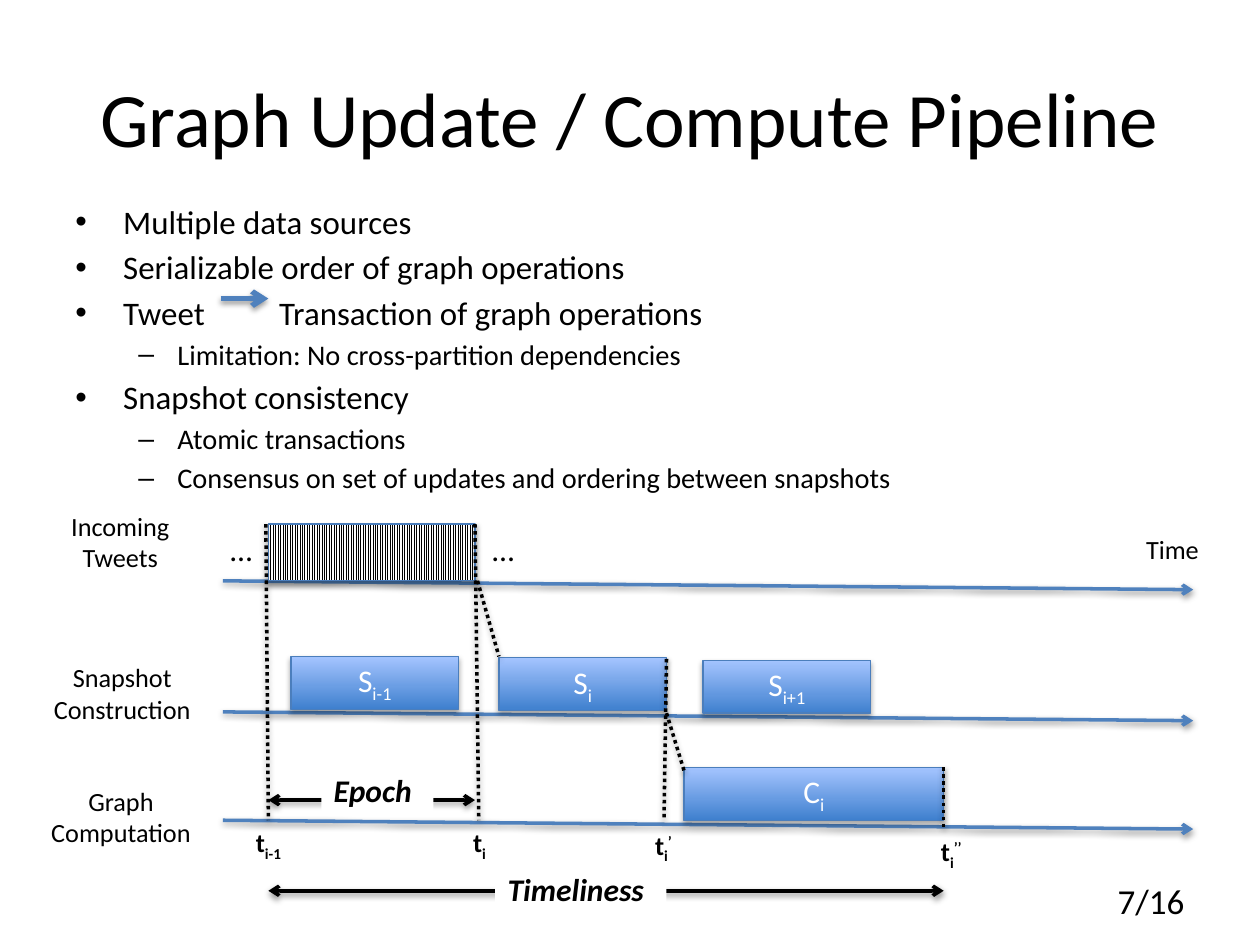
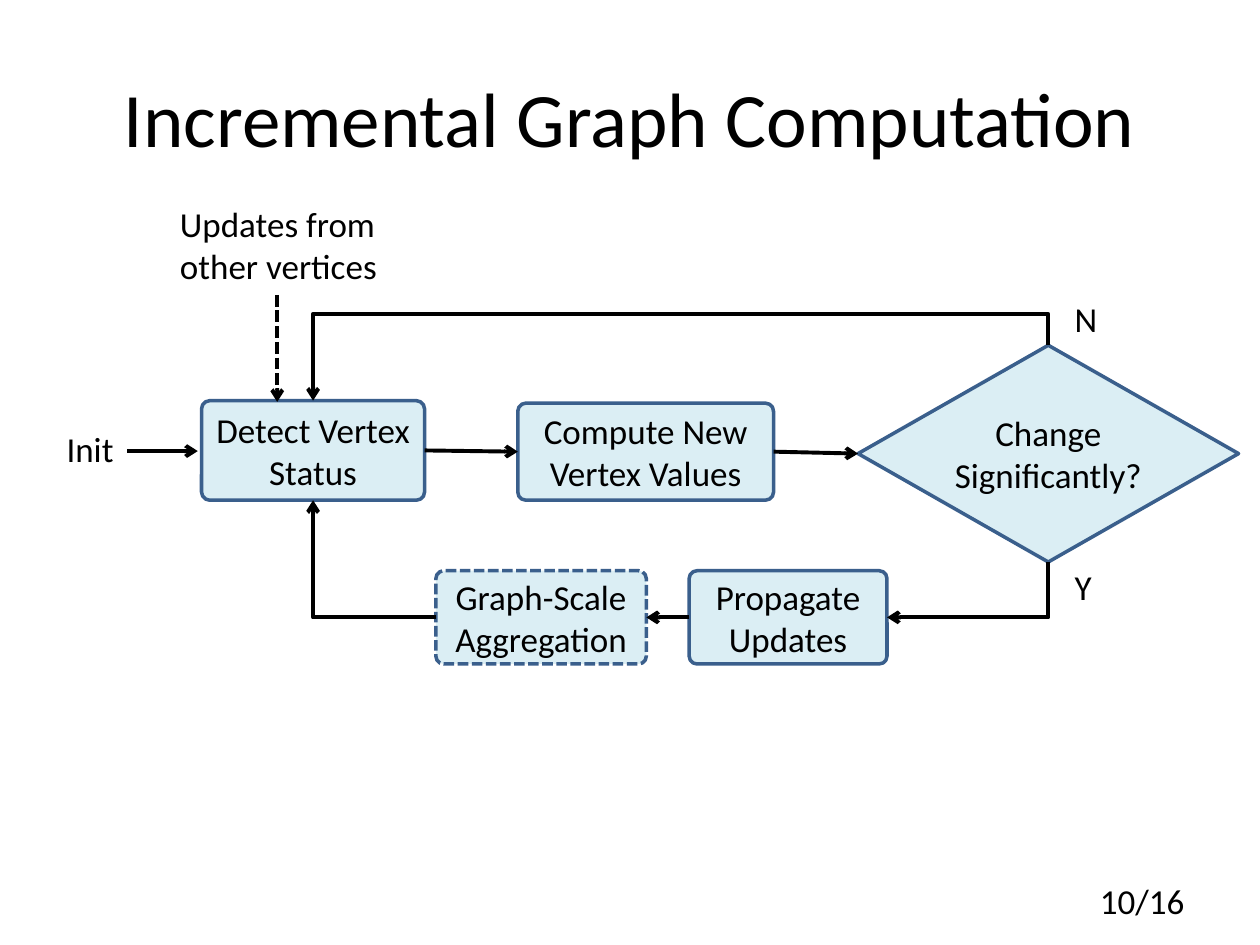
"""Two slides on a graph engine: the update pipeline and the compute loop."""
from lxml import etree
from pptx import Presentation
from pptx import util as u
from pptx.dml import color
from pptx.enum import dml, shapes, text
from pptx.oxml import ns

COLORS = {
    "ink": "000000", "paper": "FFFFFF", "axis": "4F81BD", "edge": "4B7EBC",
    "deep": "3F80CE", "light": "A4C4FF", "step": "DBEEF4", "frame": "3A5F8C",
}
FONT = "Calibri"
PAGE_COUNT = 16
LEFT, CENTER, RIGHT = text.PP_ALIGN.LEFT, text.PP_ALIGN.CENTER, text.PP_ALIGN.RIGHT
DOTS, DASHES = dml.MSO_LINE.ROUND_DOT, dml.MSO_LINE.SQUARE_DOT
TOP, WEST, BOTTOM, EAST = range(4)  # connection sites of a shape


def rgb(name):
    """Return the named colour."""
    return color.RGBColor.from_string(COLORS[name])


def assign(target, values):
    """Set several attributes on one object."""
    for name, value in values.items():
        setattr(target, name, value)


def add_xml(parent, tag, **attributes):
    """Append an XML element and return it."""
    values = {key: str(value) for key, value in attributes.items()}
    return etree.SubElement(parent, ns.qn(tag), values)


class Deck:
    """Holds the style, the presentation and the current slide."""

    def __init__(self):
        """Start an empty 4:3 presentation."""
        self.deck = Presentation()
        assign(self.deck, {"slide_width": u.Inches(10), "slide_height": u.Inches(7.5)})
        self.page = None

    def new_page(self, title, number):
        """Add a slide with its title and page number."""
        self.page = self.deck.slides.add_slide(self.deck.slide_layouts[6])
        self.label((0.5, 0.3, 9, 1.25), title, size=44, wrap=True, middle=True)
        self.label((7.17, 6.95, 2.33, 0.4), f"{number}/{PAGE_COUNT}", size=20,
                   align=RIGHT, wrap=True, middle=True)

    def add_spans(self, para, content, size, ink="ink", **style):
        """Put a string, or (text, baseline) pairs, into a paragraph."""
        pairs = [(content, 0)] if isinstance(content, str) else content
        for words, baseline in pairs:
            for row, line in enumerate(words.split("\n")):
                if row:
                    para.add_line_break()
                span = para.add_run()
                span.text = line
                assign(span.font, {"name": FONT, "size": u.Pt(size), **style})
                span.font.color.rgb = rgb(ink)
                if baseline:
                    span.font._element.set("baseline", str(baseline * 1000))

    def label(self, at, content, size=15, align=CENTER, wrap=False, middle=False,
              fill=None, **style):
        """Add a text box."""
        box = self.page.shapes.add_textbox(*map(u.Inches, at))
        anchor = text.MSO_ANCHOR.MIDDLE if middle else text.MSO_ANCHOR.TOP
        assign(box.text_frame, {"word_wrap": wrap, "vertical_anchor": anchor})
        if fill:
            box.fill.solid()
            box.fill.fore_color.rgb = rgb(fill)
        para = box.text_frame.paragraphs[0]
        para.alignment = align
        self.add_spans(para, content, size, **style)

    def bullets(self, at, items):
        """Add a two-level list from (level, content) items."""
        box = self.page.shapes.add_textbox(*map(u.Inches, at))
        frame = box.text_frame
        frame.word_wrap = True
        for index, (level, content) in enumerate(items):
            size, margin, hang, mark = [(18.8, 0.38, 0.38, "•"),
                                        (16.2, 0.81, 0.31, "–")][level]
            para = frame.add_paragraph() if index else frame.paragraphs[0]
            assign(para, {"level": level, "space_before": u.Pt(round(size * 0.18, 1))})
            props = para._p.get_or_add_pPr()
            props.set("marL", str(u.Inches(margin)))
            props.set("indent", str(-u.Inches(hang)))
            add_xml(props, "a:buFont", typeface="Arial")
            add_xml(props, "a:buChar", char=mark)
            self.add_spans(para, content, size)
        return frame

    def shape(self, kind, at, content="", size=18, ink="ink", line="frame",
              width=2, dash=None):
        """Add a shape with centred text; the caller fills it."""
        box = self.page.shapes.add_shape(kind, *map(u.Inches, at))
        box.shadow.inherit = False
        box.line.color.rgb = rgb(line)
        assign(box.line, {"width": u.Pt(width), "dash_style": dash})
        assign(box.text_frame, {"word_wrap": True, "margin_left": 0, "margin_right": 0,
                                "vertical_anchor": text.MSO_ANCHOR.MIDDLE})
        para = box.text_frame.paragraphs[0]
        para.alignment = CENTER
        self.add_spans(para, content, size, ink)
        return box

    def shade(self, effects, alpha, distance):
        """Put a soft shadow below an object."""
        shadow = add_xml(effects, "a:outerShdw", blurRad=40000, dist=distance,
                         dir=5400000, rotWithShape=0)
        ink = add_xml(shadow, "a:srgbClr", val=COLORS["ink"])
        add_xml(ink, "a:alpha", val=alpha * 1000)

    def interval(self, at, content=""):
        """Add a timeline block: a gradient with text, or stripes without."""
        box = self.shape(shapes.MSO_SHAPE.RECTANGLE, at, content, ink="paper",
                         line="edge", width=0.75)
        if content:
            box.fill.gradient()
            box.fill.gradient_angle = 90
            for stop, name in zip(box.fill.gradient_stops, ("deep", "light")):
                stop.color.rgb = rgb(name)
        else:
            box.fill.patterned()
            box.fill.pattern = dml.MSO_PATTERN.LIGHT_VERTICAL
            box.fill.fore_color.rgb = rgb("ink")
            box.fill.back_color.rgb = rgb("paper")
        self.shade(box._element.spPr.find(ns.qn("a:effectLst")), 35, 23000)

    def step(self, at, content, kind=shapes.MSO_SHAPE.ROUNDED_RECTANGLE, dash=None):
        """Add a flow chart step."""
        box = self.shape(kind, at, content, size=20, dash=dash)
        box.fill.solid()
        box.fill.fore_color.rgb = rgb("step")
        if len(box.adjustments):
            box.adjustments[0] = 0.083
        return box

    def line(self, start=(0, 0), end=(0, 0), ink="ink", width=2.0, dash=None,
             heads=(), shadow=False, kind=shapes.MSO_CONNECTOR.STRAIGHT):
        """Add a line; heads lists the ends that carry an arrow."""
        link = self.page.shapes.add_connector(kind, *map(u.Inches, (*start, *end)))
        link.line.color.rgb = rgb(ink)
        assign(link.line, {"width": u.Pt(width), "dash_style": dash})
        stroke = link.line._get_or_add_ln()
        for head in heads:
            add_xml(stroke, f"a:{head}End", type="arrow")
        effects = add_xml(link._element.spPr, "a:effectLst")
        if shadow:
            self.shade(effects, 38, 20000)
        return link

    def flow(self, source, source_site, target, target_site, **style):
        """Join two steps with an arrow."""
        link = self.line(width=2.25, heads=["tail"], **style)
        link.begin_connect(source, source_site)
        link.end_connect(target, target_site)
        return link

    def elbow(self, source, source_site, target, target_site, turn,
              preset="bentConnector2", flip=False, bend=None):
        """Join two steps with an angled arrow, turned by whole right angles."""
        link = self.flow(source, source_site, target, target_site,
                         kind=shapes.MSO_CONNECTOR.ELBOW)
        left, top, wide, high = link.left, link.top, link.width, link.height
        if turn % 180:
            left, top = left + (wide - high) // 2, top + (high - wide) // 2
            wide, high = high, wide
        assign(link, {"left": left, "top": top, "width": wide, "height": high})
        frame = link._element.spPr.find(ns.qn("a:xfrm"))
        frame.set("rot", str(turn * 60000))
        for side in ("flipH", "flipV"):
            frame.set(side, str(int(flip)))
        outline = link._element.spPr.find(ns.qn("a:prstGeom"))
        outline.set("prst", preset)
        if bend is not None:
            guides = outline.find(ns.qn("a:avLst"))
            if guides is None:
                guides = add_xml(outline, "a:avLst")
            add_xml(guides, "a:gd", name="adj1", fmla=f"val {round(bend * 100000)}")


def pipeline_page(deck):
    """Build the timeline of updates, snapshots and computation."""
    deck.new_page("Graph Update / Compute Pipeline", 7)
    frame = deck.bullets((0.5, 1.55, 9, 2.25), [
        (0, "Multiple data sources"),
        (0, "Serializable order of graph operations"),
        (0, [("Tweet", 0), (" ", 0), ("Transaction of graph operations", 0)]),
        (1, "Limitation: No cross-partition dependencies"),
        (0, "Snapshot consistency"),
        (1, "Atomic transactions"),
        (1, "Consensus on set of updates and ordering between snapshots"),
    ])
    # One widely spaced blank leaves room for the arrow after "Tweet".
    frame.paragraphs[2].runs[1].font._element.set("spc", "3825")

    for level in (6.51, 5.65, 4.61):
        deck.line((1.77, level), (9.47, level + 0.07), "axis", heads=["tail"], shadow=True)
    for at, name in [((0.3, 6.18, 1.32, 0.61), "Graph\nComputation"),
                     ((0.32, 5.2, 1.3, 0.61), "Snapshot\nConstruction"),
                     ((0.46, 4, 0.99, 0.61), "Incoming\nTweets"),
                     ((8.99, 4.18, 0.63, 0.35), "Time")]:
        deck.label(at, name)
    deck.interval((2.13, 4.16, 1.64, 0.45))
    for left in (1.73, 3.81):
        deck.label((left, 4.16, 0.38, 0.4), "…", size=18, align=LEFT)
    for left, top, width, name, index in [
            (2.31, 5.21, 1.33, "S", "i-1"), (3.96, 5.22, 1.33, "S", "i"),
            (5.58, 5.24, 1.33, "S", "i+1"), (5.43, 6.09, 2.06, "C", "i")]:
        deck.interval((left, top, width, 0.42), [(name, 0), (index, -25)])
    for left, top, width, index, prime in [
            (1.92, 6.51, 0.42, "i-1", ""), (3.65, 6.51, 0.31, "i", ""),
            (5.09, 6.53, 0.35, "i", "’"), (7.36, 6.58, 0.38, "i", "’’")]:
        parts = [("t", 0), (index, -25)] + ([(prime, 30)] if prime else [])
        deck.label((left, top, width, 0.35), parts, bold=True)
    for start, end in [((7.49, 6.09), (7.49, 6.57)), ((5.29, 5.23), (5.27, 6.51)),
                       ((3.77, 4.16), (3.8, 6.51)), ((2.11, 4.16), (2.13, 6.51)),
                       ((5.29, 5.66), (5.43, 6.12)), ((3.79, 4.61), (3.96, 5.21))]:
        deck.line(start, end, dash=DOTS, shadow=True)
    deck.line((1.75, 2.37), (2.13, 2.37), "axis", 3, heads=["tail"], shadow=True)
    for right, level, at, name in [
            (3.77, 6.35, (2.55, 6.07, 0.89, 0.4), "Epoch"),
            (7.49, 7.07, (3.93, 6.86, 1.36, 0.4), "Timeliness")]:
        deck.line((2.13, level), (right, level), heads=["head", "tail"], shadow=True)
        deck.label(at, name, size=18, align=LEFT, fill="paper", bold=True, italic=True)


def computation_page(deck):
    """Build the flow chart of the incremental loop."""
    deck.new_page("Incremental Graph Computation", 10)
    detect = deck.step((1.6, 3.18, 1.77, 0.79), "Detect Vertex Status")
    compute = deck.step((4.11, 3.2, 2.03, 0.77), "Compute New Vertex Values")
    propagate = deck.step((5.47, 4.53, 1.57, 0.74), "Propagate Updates")
    aggregate = deck.step((3.46, 4.53, 1.67, 0.74), "Graph-Scale Aggregation",
                          dash=DASHES)
    change = deck.step((6.81, 2.74, 3.02, 1.72), "Change Significantly?",
                       kind=shapes.MSO_SHAPE.FLOWCHART_DECISION)
    deck.flow(detect, EAST, compute, WEST)
    deck.flow(compute, EAST, change, WEST)
    deck.flow(propagate, WEST, aggregate, EAST)
    deck.elbow(change, BOTTOM, propagate, EAST, turn=90)
    deck.elbow(change, TOP, detect, TOP, turn=270, preset="bentConnector3",
               flip=True, bend=-0.567)
    deck.elbow(aggregate, WEST, detect, BOTTOM, turn=180)
    deck.line((1.01, 3.58), (1.57, 3.58), width=2.25, heads=["tail"])
    deck.line((2.2, 2.34), (2.2, 3.19), width=2.25, dash=DASHES, heads=["tail"])
    for at, words in [((0.43, 3.34, 0.58, 0.44), "Init"),
                      ((1.33, 1.56, 2.05, 0.77), "Updates from\nother vertices"),
                      ((8.43, 4.44, 0.34, 0.44), "Y"),
                      ((8.43, 2.31, 0.38, 0.44), "N")]:
        deck.label(at, words, size=20, align=LEFT)


def main():
    """Build both slides and save the file."""
    deck = Deck()
    pipeline_page(deck)
    computation_page(deck)
    deck.deck.save("out.pptx")


main()
